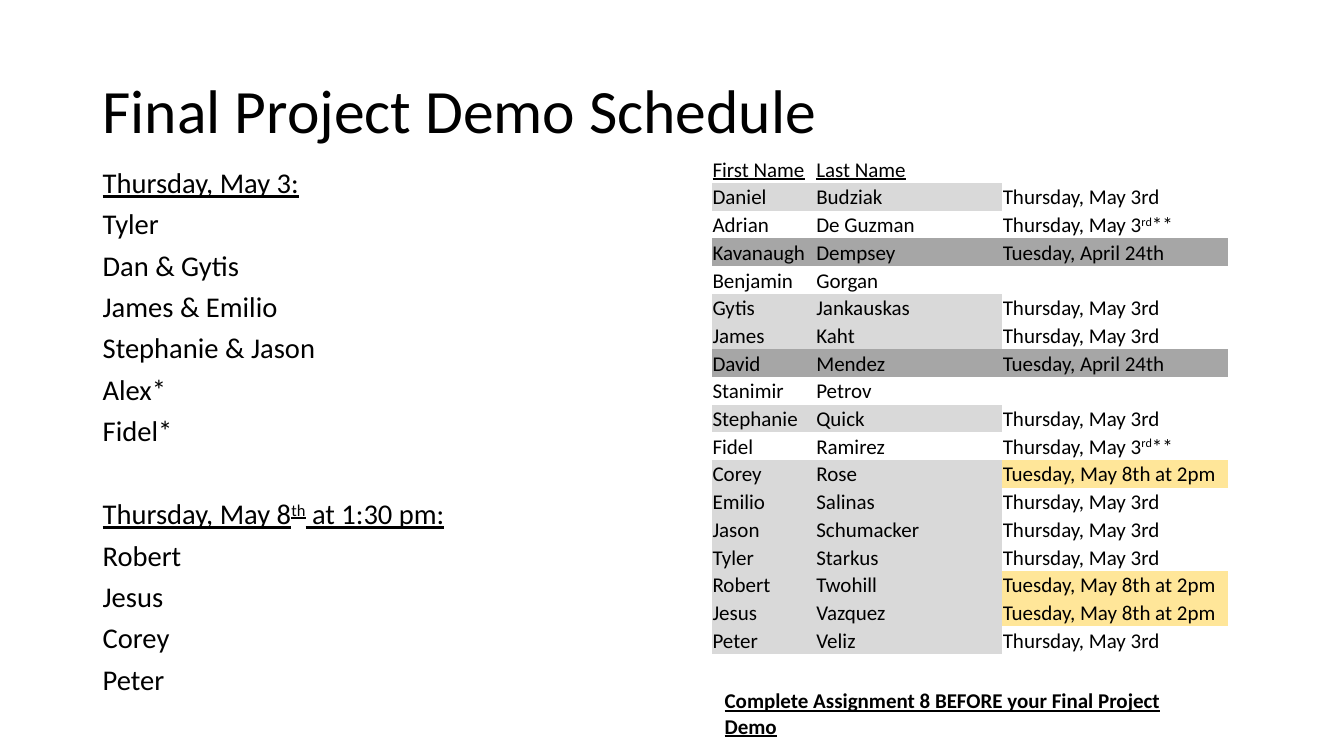
"""Build the final project demo schedule slide."""
from pptx import Presentation
from pptx.dml.color import RGBColor
from pptx.enum.text import MSO_ANCHOR as Anchor
from pptx.util import Pt

PX = 914400 // 200
FONT, INK = "Calibri", "000000"
LIGHT, DARK, GOLD = "D9D9D9", "A6A6A6", "FFE699"
NO_STYLE = "{2D5ABB26-0587-4C30-8999-92F81FD0307C}"

TITLE = "Final Project Demo Schedule"
GROUPS = [
    ("Thursday, May 3:",
     ["Tyler", "Dan & Gytis", "James & Emilio", "Stephanie & Jason",
      "Alex*", "Fidel*"]),
    ("Thursday, May 8^th^ at 1:30 pm:",
     ["Robert", "Jesus", "Corey", "Peter"]),
]
NONE, THIRD, STAR = "", "Thursday, May 3rd", "Thursday, May 3^rd^**"
APRIL, EIGHTH = "Tuesday, April 24th", "Tuesday, May 8th at 2pm"
FILLS = {
    NONE: (None, None, None),
    STAR: (None, None, None),
    THIRD: (LIGHT, LIGHT, None),
    APRIL: (DARK, DARK, DARK),
    EIGHTH: (LIGHT, LIGHT, GOLD),
}
HEAD = ("First Name", "Last Name", NONE)
PEOPLE = [
    ("Daniel", "Budziak", THIRD),
    ("Adrian", "De Guzman", STAR),
    ("Kavanaugh", "Dempsey", APRIL),
    ("Benjamin", "Gorgan", NONE),
    ("Gytis", "Jankauskas", THIRD),
    ("James", "Kaht", THIRD),
    ("David", "Mendez", APRIL),
    ("Stanimir", "Petrov", NONE),
    ("Stephanie", "Quick", THIRD),
    ("Fidel", "Ramirez", STAR),
    ("Corey", "Rose", EIGHTH),
    ("Emilio", "Salinas", THIRD),
    ("Jason", "Schumacker", THIRD),
    ("Tyler", "Starkus", THIRD),
    ("Robert", "Twohill", EIGHTH),
    ("Jesus", "Vazquez", EIGHTH),
    ("Peter", "Veliz", THIRD),
]
NOTE = "Complete Assignment 8 BEFORE your Final Project Demo"

COLS, ROW, LAST = (206, 370, 448), 55, 130
TIGHT, LOOSE = (2, 2, 2, 0), (26, 14, 26, 14)
SIDES = ("margin_left", "margin_top", "margin_right", "margin_bottom")


def color(code):
    return RGBColor.from_string(code)


def write(para, text, size, **style):
    """Add text to a paragraph, raising the parts between carets."""
    for i, part in enumerate(text.split("^")):
        if not part:
            continue
        run = para.add_run()
        run.text = part
        look = {"name": FONT, "size": Pt(size), **style}
        for key, val in look.items():
            setattr(run.font, key, val)
        run.font.color.rgb = color(INK)
        if i % 2:
            run._r.get_or_add_rPr().set("baseline", "30000")
    if not text:
        para._p.get_or_add_endParaRPr().set("sz", str(size * 100))


def add_box(slide, area, anchor):
    """Add a wrapping text box and return its frame."""
    frame = slide.shapes.add_textbox(*(n * PX for n in area)).text_frame
    frame.word_wrap = True
    frame.vertical_anchor = anchor
    return frame


def add_list(slide):
    """Add the two groups of names with their headings."""
    frame = add_box(slide, (184, 330, 796, 1090), Anchor.TOP)
    lines = [(text, i == 0) for head, names in GROUPS
             for i, text in enumerate([head, *names])]
    for i, (text, is_head) in enumerate(lines):
        para = frame.add_paragraph() if i else frame.paragraphs[0]
        gap = 39.6 if is_head else 10
        para.line_spacing = 0.8
        para.space_before = Pt(gap if i else 0)
        write(para, text, 20.4, underline=is_head)


def fill_cell(cell, text, shade, inset=TIGHT, **style):
    """Set the text, fill and margins of one cell."""
    for side, size in zip(SIDES, inset):
        setattr(cell, side, size * PX)
    cell.vertical_anchor = Anchor.BOTTOM
    if shade:
        cell.fill.solid()
        cell.fill.fore_color.rgb = color(shade)
    else:
        cell.fill.background()
    write(cell.text_frame.paragraphs[0], text, 15, **style)


def add_grid(slide):
    """Add the table of people, demo days and the closing note."""
    rows = [HEAD, *PEOPLE, ("", "", NONE), (NOTE, "", NONE)]
    high = [ROW] * (len(rows) - 1) + [LAST]
    area = (1412, 308, sum(COLS), sum(high))
    grid = slide.shapes.add_table(
        len(rows), len(COLS), *(n * PX for n in area)).table
    grid.first_row = grid.horz_banding = False
    grid._tbl.tblPr[0].text = NO_STYLE
    for col, wide in zip(grid.columns, COLS):
        col.width = wide * PX
    for r, (row, tall) in enumerate(zip(rows, high)):
        grid.rows[r].height = tall * PX
        end = r == len(rows) - 1
        style = {"underline": r == 0 or end, "bold": end}
        for c, (text, shade) in enumerate(zip(row, FILLS[row[2]])):
            fill_cell(grid.cell(r, c), text, shade,
                      LOOSE if end else TIGHT, **style)
    grid.cell(r, 0).merge(grid.cell(r, len(COLS) - 1))


def main():
    """Make the slide and save it."""
    deck = Presentation()
    deck.slide_width, deck.slide_height = 2667 * PX, 1500 * PX
    slide = deck.slides.add_slide(deck.slide_layouts[6])
    para = add_box(slide, (184, 80, 2300, 290), Anchor.MIDDLE).paragraphs[0]
    para.line_spacing = 0.9
    write(para, TITLE, 44)
    add_list(slide)
    add_grid(slide)
    deck.save("out.pptx")


if __name__ == "__main__":
    main()
